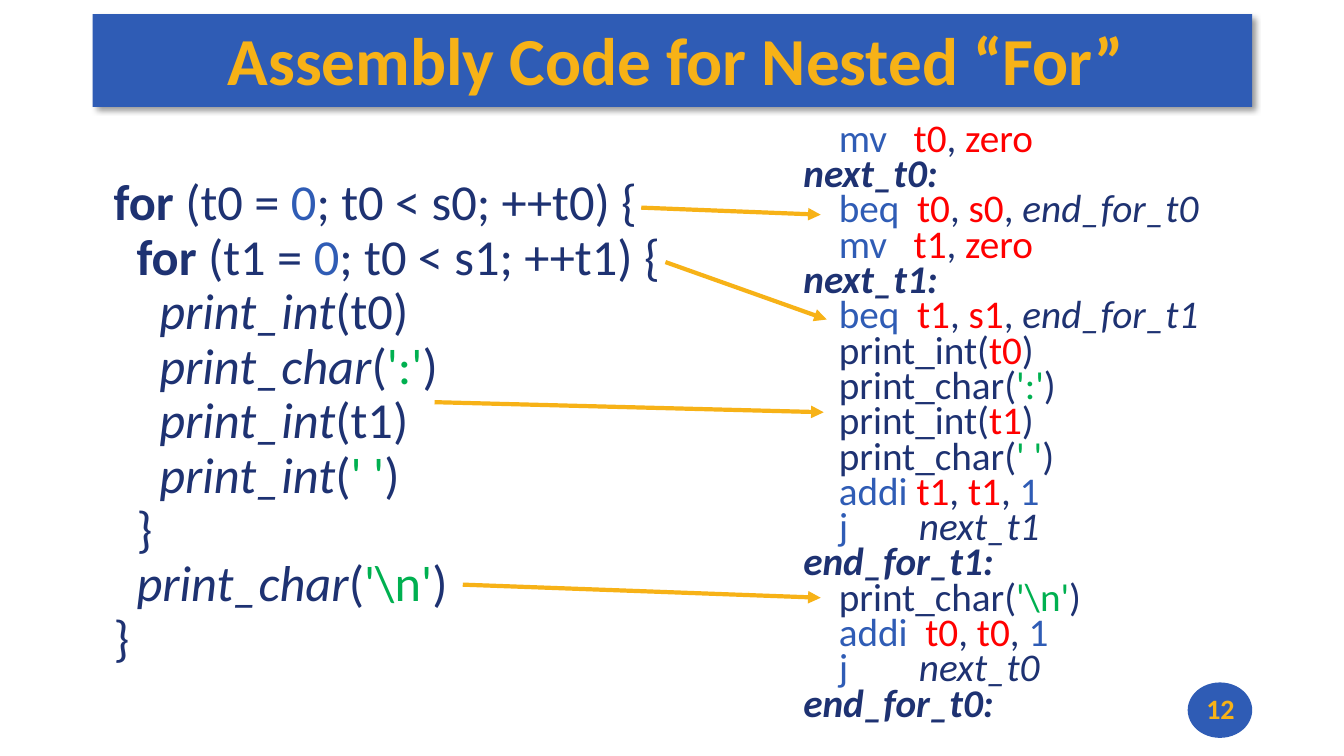
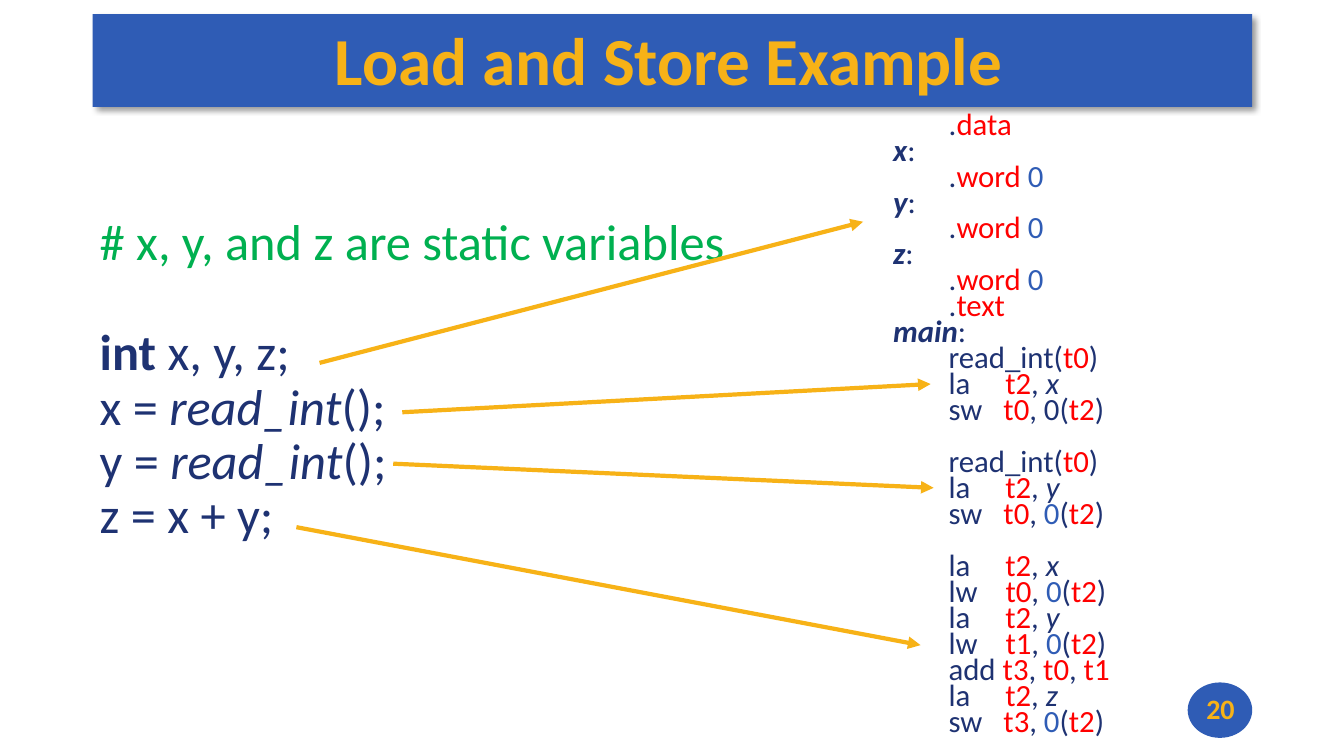
from dataclasses import dataclass

import lxml.etree
import pptx
import pptx.dml.color
import pptx.enum.shapes
import pptx.enum.text
import pptx.oxml.ns
import pptx.util

Inches = pptx.util.Inches
Pt = pptx.util.Pt
qn = pptx.oxml.ns.qn
Shapes = pptx.enum.shapes.MSO_SHAPE


def rgb(value):
    return pptx.dml.color.RGBColor.from_string(value)


@dataclass(frozen=True)
class Theme:
    font: str = "Calibri"
    blue: str = "2F5CB5"
    gold: str = "F7B217"
    navy: str = "1E3272"
    red: str = "FF0000"
    green: str = "00B050"
    title_size: int = 48
    number_size: int = 20
    source_size: int = 36
    arrow_width: int = 3
    line_height: float = 1.22


THEME = Theme()

TOKENS = {
    "k": (THEME.navy, True, False),
    "l": (THEME.navy, True, True),
    "f": (THEME.navy, False, True),
    "o": (THEME.blue, False, False),
    "r": (THEME.red, False, False),
    "s": (THEME.green, False, False),
}
PLAIN = (THEME.navy, False, False)

TITLE_BOX = (0.92, 0.12, 11.5, 0.92)
BAND_BOX = (0.92, 0.14, 11.5, 0.92)
BADGE_BOX = (11.78, 6.77, 0.64, 0.55)
NUMBER_BOX = (11.78, 6.77, 0.65, 0.52)

NESTED_FOR_SOURCE = r"""
~kfor~ (t0 = ~o0~; t0 < s0; ++t0) {
  ~kfor~ (t1 = ~o0~; t0 < s1; ++t1) {
    ~fprint_int~(t0)
    ~fprint_char~(~s':'~)
    ~fprint_int~(t1)
    ~fprint_int~(~s' '~)
  }
  ~fprint_char~(~s'\n'~)
}
"""

NESTED_FOR_ASSEMBLY = r"""
    ~omv   ~~rt0~, ~rzero~
~lnext_t0:~
    ~obeq  ~~rt0~, ~rs0~, ~fend_for_t0~
    ~omv   ~~rt1~, ~rzero~
~lnext_t1:~
    ~obeq  ~~rt1~, ~rs1~, ~fend_for_t1~
    print_int(~rt0~)
    print_char(~s':'~)
    print_int(~rt1~)
    print_char(~s' '~)
    ~oaddi ~~rt1~, ~rt1~, ~o1~
    ~oj        ~~fnext_t1~
~lend_for_t1:~
    print_char(~s'\n'~)
    ~oaddi  ~~rt0~, ~rt0~, ~o1~
    ~oj        ~~fnext_t0~
~lend_for_t0:~
"""

LOAD_STORE_SOURCE = """
~s# x, y, and z are static variables~

~kint ~x, y, z;
x = ~fread_int~();
y = ~fread_int~();
z = x + y;
"""

LOAD_STORE_ASSEMBLY = """
        .~rdata~
~lx~:
        .~rword ~~o0~
~ly~:
        .~rword ~~o0~
~lz~:
        .~rword ~~o0~
        .~rtext~
~lmain~:
        read_int(~rt0~)
        la     ~rt2~, ~fx~
        sw   ~rt0~, 0(~rt2~)

        read_int(~rt0~)
        la     ~rt2~, ~fy~
        sw   ~rt0~, ~o0~(~rt2~)

        la     ~rt2~, ~fx~
        lw    ~rt0~, ~o0~(~rt2~)
        la     ~rt2~, ~fy~
        lw    ~rt1~, ~o0~(~rt2~)
        add ~rt3~, ~rt0~, ~rt1~
        la     ~rt2~, ~fz~
        sw   ~rt3~, ~o0~(~rt2~)
"""


def place(box):
    return [Inches(length) for length in box]


def format_run(run, size, color, bold=False, italic=False):
    run.font.name = THEME.font
    run.font.size = Pt(size)
    run.font.bold = bold
    run.font.italic = italic
    run.font.color.rgb = rgb(color)


def add_panel(slide, preset, box):
    shape = slide.shapes.add_shape(preset, *place(box))
    shape.shadow.inherit = False
    shape.fill.solid()
    shape.fill.fore_color.rgb = rgb(THEME.blue)
    shape.line.fill.background()
    return shape


def add_drop_shadow(shape):
    effects = shape._element.spPr.find(qn("a:effectLst"))
    shadow = lxml.etree.SubElement(
        effects, qn("a:outerShdw"),
        blurRad=str(Pt(4)), dist=str(Pt(3)), dir=str(45 * 60000),
        algn="tl", rotWithShape="0")
    color = lxml.etree.SubElement(shadow, qn("a:srgbClr"), val="000000")
    lxml.etree.SubElement(color, qn("a:alpha"), val="40000")


def add_caption(slide, box, text, size, margins):
    frame = slide.shapes.add_textbox(*place(box)).text_frame
    frame.word_wrap = True
    frame.vertical_anchor = pptx.enum.text.MSO_ANCHOR.MIDDLE
    (frame.margin_left, frame.margin_top,
     frame.margin_right, frame.margin_bottom) = place(margins)
    frame.text = text
    paragraph = frame.paragraphs[0]
    paragraph.alignment = pptx.enum.text.PP_ALIGN.CENTER
    format_run(paragraph.runs[0], size, THEME.gold, bold=True)


def add_code(slide, box, listing, size, spacing):
    frame = slide.shapes.add_textbox(*place(box)).text_frame
    frame.word_wrap = True
    frame.auto_size = pptx.enum.text.MSO_AUTO_SIZE.SHAPE_TO_FIT_TEXT
    paragraph = frame.paragraphs[0]
    gap_before = False
    for index, line in enumerate(listing.strip("\n").split("\n")):
        if not line:
            gap_before = True
            continue
        if index:
            paragraph = frame.add_paragraph()
        paragraph.line_spacing = spacing
        if gap_before:
            paragraph.space_before = Pt(round(size * spacing * THEME.line_height))
            gap_before = False
        for position, piece in enumerate(line.split("~")):
            if not piece:
                continue
            style = PLAIN
            if position % 2:
                style, piece = TOKENS[piece[0]], piece[1:]
            run = paragraph.add_run()
            run.text = piece
            format_run(run, size, *style)


def add_arrow(slide, start, end):
    arrow = slide.shapes.add_connector(
        pptx.enum.shapes.MSO_CONNECTOR.STRAIGHT, *place(start + end))
    arrow.line.color.rgb = rgb(THEME.gold)
    arrow.line.width = Pt(THEME.arrow_width)
    lxml.etree.SubElement(
        arrow.line._get_or_add_ln(), qn("a:tailEnd"), type="triangle")
    lxml.etree.SubElement(arrow._element.spPr, qn("a:effectLst"))


def add_frame(slide, title, number):
    add_drop_shadow(add_panel(slide, Shapes.RECTANGLE, BAND_BOX))
    add_panel(slide, Shapes.OVAL, BADGE_BOX)
    add_caption(slide, NUMBER_BOX, number, THEME.number_size,
                (0.1, 0.05, 0.1, 0.05))
    add_caption(slide, TITLE_BOX, title, THEME.title_size,
                (0.08, 0.03, 0, 0.03))


def add_code_slide(presentation, title, number, source, assembly, arrows):
    slide = presentation.slides.add_slide(presentation.slide_layouts[6])
    add_frame(slide, title, number)
    source_box, source_listing = source
    add_code(slide, source_box, source_listing, THEME.source_size, 0.9)
    add_code(slide, *assembly)
    for start, end in arrows:
        add_arrow(slide, start, end)


def main():
    presentation = pptx.Presentation()
    presentation.slide_width = Inches(13.33)
    presentation.slide_height = Inches(7.5)
    add_code_slide(
        presentation, "Assembly Code for Nested “For”", "12",
        ((1.03, 1.71, 5.77, 5.01), NESTED_FOR_SOURCE),
        ((7.87, 1.18, 4.5, 6.12), NESTED_FOR_ASSEMBLY, 28, 0.75),
        [((6.36, 2.06), (8.14, 2.13)),
         ((6.6, 2.6), (8.2, 3.17)),
         ((4.59, 5.8), (8.14, 5.93)),
         ((4.31, 3.99), (8.17, 4.09))])
    add_code_slide(
        presentation, "Load and Store Example ", "20",
        ((0.89, 2.1, 6.42, 3.37), LOAD_STORE_SOURCE),
        ((8.76, 1.09, 2.69, 6.34), LOAD_STORE_ASSEMBLY, 22, 0.7),
        [((3.17, 3.6), (8.56, 2.2)),
         ((3.99, 4.09), (9.23, 3.81)),
         ((3.9, 4.6), (9.26, 4.84)),
         ((2.94, 5.23), (9.13, 6.4))])
    presentation.save("out.pptx")


if __name__ == "__main__":
    main()
